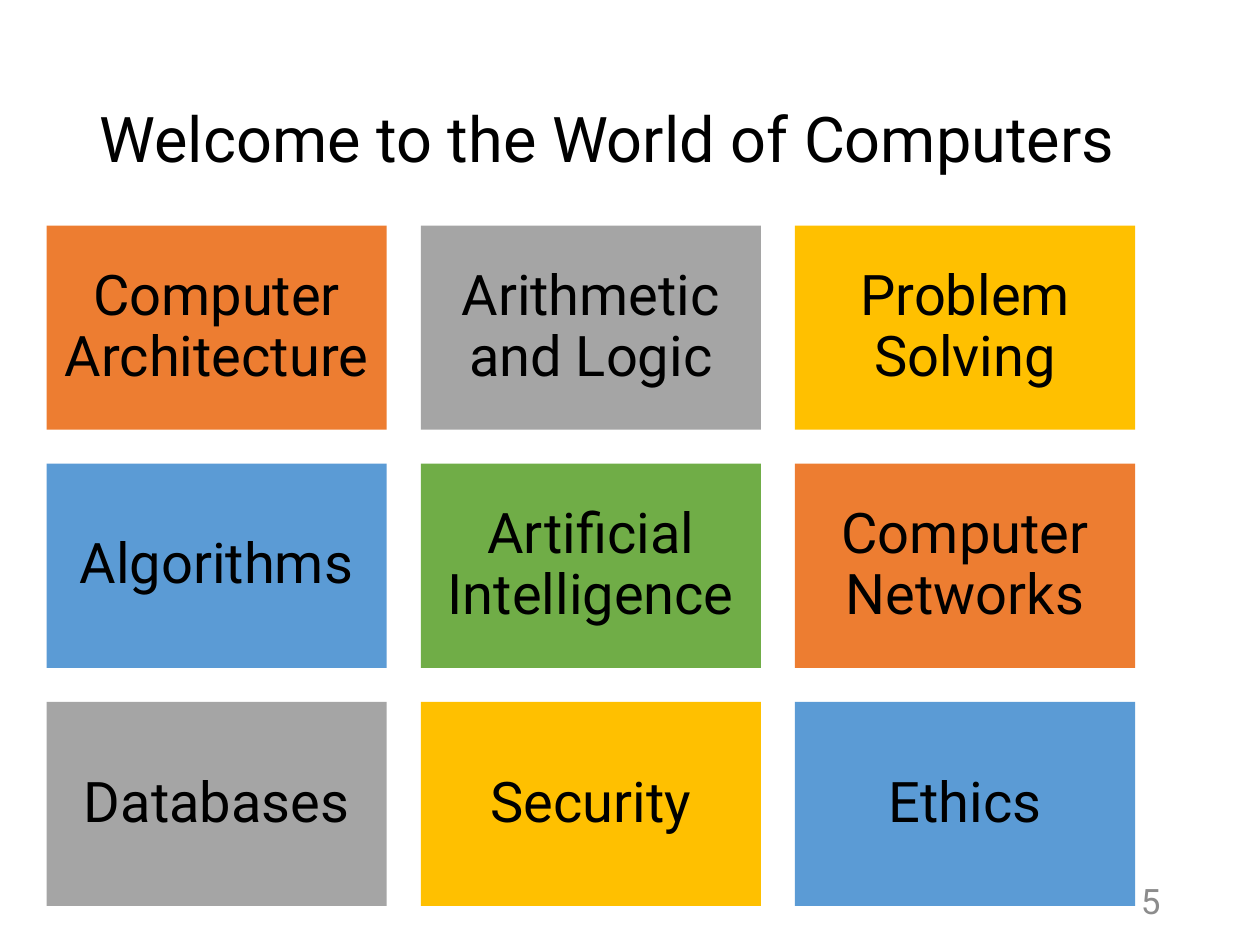
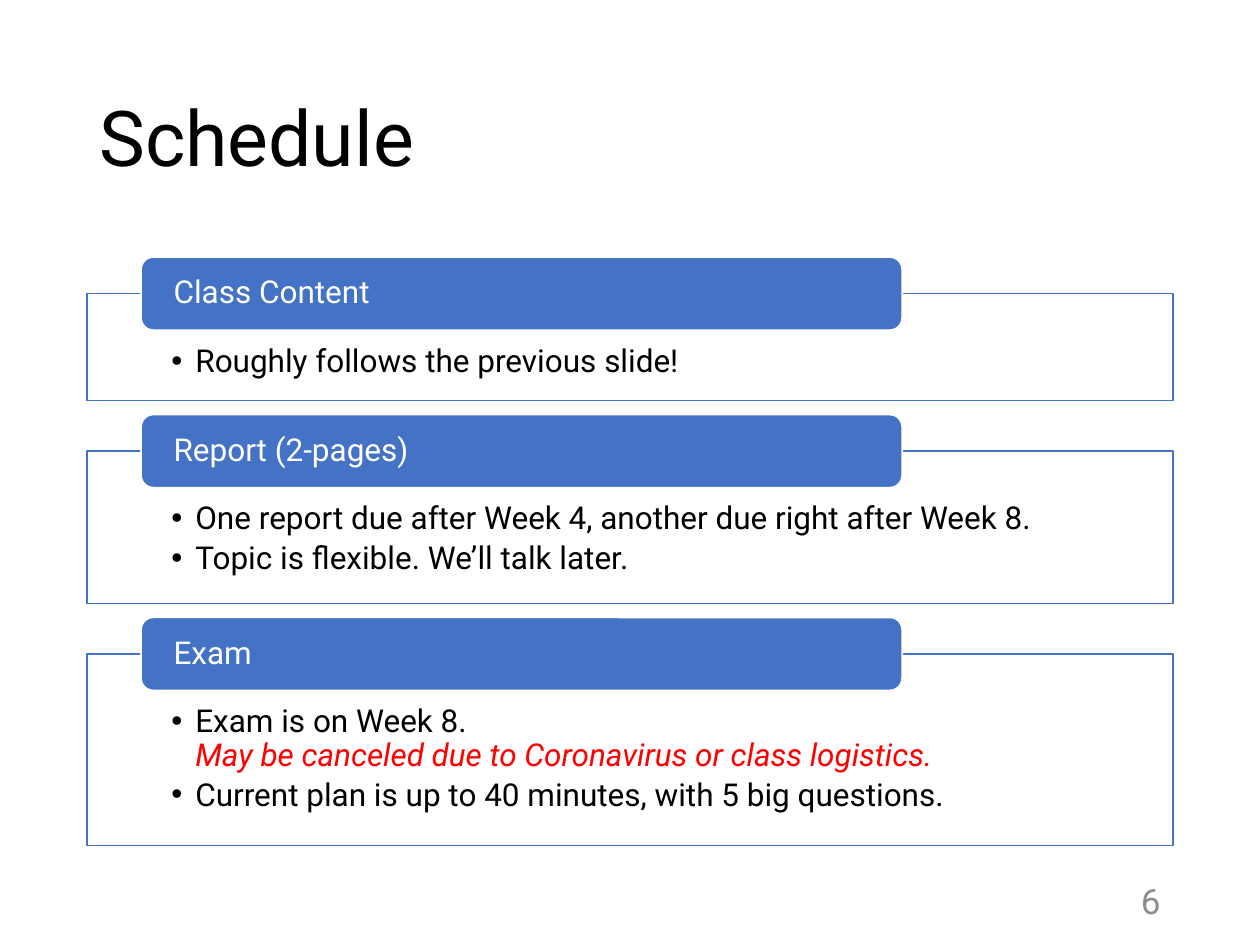
from dataclasses import dataclass

from lxml import etree
from pptx import Presentation
from pptx.dml.color import RGBColor
from pptx.enum.shapes import MSO_SHAPE
from pptx.enum.text import MSO_ANCHOR, MSO_AUTO_SIZE, PP_ALIGN
from pptx.oxml.ns import qn
from pptx.presentation import Presentation as Deck
from pptx.shapes.autoshape import Shape
from pptx.slide import Slide
from pptx.text.text import TextFrame, _Paragraph as Paragraph
from pptx.util import Inches, Pt

RECTANGLE = MSO_SHAPE.RECTANGLE
ROUNDED = MSO_SHAPE.ROUNDED_RECTANGLE
TOP, MIDDLE = MSO_ANCHOR.TOP, MSO_ANCHOR.MIDDLE
LEFT, CENTER, RIGHT = PP_ALIGN.LEFT, PP_ALIGN.CENTER, PP_ALIGN.RIGHT
NO_AUTOFIT = MSO_AUTO_SIZE.NONE
TITLE_ONLY = 5


@dataclass(frozen=True)
class Theme:
    font: str = "Roboto"
    text: str = "000000"
    white: str = "FFFFFF"
    number: str = "8C8C8C"
    alert: str = "FF0000"
    panel: str = "4472C4"
    orange: str = "ED7D31"
    grey: str = "A5A5A5"
    gold: str = "FFC000"
    blue: str = "5B9BD5"
    green: str = "70AD47"
    tile_size: int = 32
    body_size: int = 18
    number_size: int = 20
    line_spacing: float = 0.9


THEME = Theme()


@dataclass(frozen=True)
class Box:
    left: float
    top: float
    width: float
    height: float

    def lengths(self) -> tuple[Inches, ...]:
        return tuple(Inches(v) for v in (self.left, self.top, self.width, self.height))


@dataclass(frozen=True)
class Tile:
    label: str
    color: str


@dataclass(frozen=True)
class Bullet:
    text: str
    warning: str = ""


@dataclass(frozen=True)
class Section:
    heading: str
    height: float
    bullets: tuple[Bullet, ...]


TITLE_BOX = Box(0.69, 0.4, 8.62, 1.45)
NUMBER_BOX = Box(7.06, 6.95, 2.25, 0.4)

# Topic grid
GRID_LEFT, GRID_TOP = 0.37, 1.79
GRID_COLUMNS, GRID_GAP = 3, 0.27
TILE_WIDTH, TILE_HEIGHT = 2.7, 1.62
TOPICS = (
    Tile("Computer Architecture", THEME.orange),
    Tile("Arithmetic and Logic", THEME.grey),
    Tile("Problem Solving", THEME.gold),
    Tile("Algorithms", THEME.blue),
    Tile("Artificial Intelligence", THEME.green),
    Tile("Computer Networks", THEME.orange),
    Tile("Databases", THEME.grey),
    Tile("Security", THEME.gold),
    Tile("Ethics", THEME.blue),
)

# Schedule panels
PANEL_LEFT, PANEL_TOP = 0.69, 2.33
PANEL_WIDTH, PANEL_GAP = 8.62, 0.4
HEADING_LEFT, HEADING_WIDTH, HEADING_HEIGHT = 1.12, 6.04, 0.58
BULLET_INDENT = 0.19
SECTIONS = (
    Section("Class Content", 0.85, (Bullet("Roughly follows the previous slide!"),)),
    Section("Report (2-pages)", 1.21, (
        Bullet("One report due after Week 4, another due right after Week 8."),
        Bullet("Topic is flexible. We’ll talk later."),
    )),
    Section("Exam", 1.52, (
        Bullet("Exam is on Week 8.",
               "May be canceled due to Coronavirus or class logistics."),
        Bullet("Current plan is up to 40 minutes, with 5 big questions."),
    )),
)


# Text and shape helpers
def format_paragraph(paragraph: Paragraph, size: int, color: str,
                     alignment: PP_ALIGN = LEFT,
                     spacing: float = THEME.line_spacing) -> None:
    paragraph.alignment = alignment
    paragraph.line_spacing = spacing
    paragraph.space_before = Pt(0)
    for run in paragraph.runs:
        run.font.name = THEME.font
        run.font.size = Pt(size)
        run.font.color.rgb = RGBColor.from_string(color)


def set_frame(frame: TextFrame, anchor: MSO_ANCHOR,
              insets: tuple[float, float, float, float] = (0.1, 0.05, 0.1, 0.05)) -> None:
    frame.word_wrap = True
    frame.auto_size = NO_AUTOFIT
    frame.vertical_anchor = anchor
    (frame.margin_left, frame.margin_top,
     frame.margin_right, frame.margin_bottom) = (Inches(inset) for inset in insets)


def add_block(slide: Slide, kind: MSO_SHAPE, box: Box, fill: str, line: str = "") -> Shape:
    shape = slide.shapes.add_shape(kind, *box.lengths())
    shape.shadow.inherit = False
    shape.fill.solid()
    shape.fill.fore_color.rgb = RGBColor.from_string(fill)
    if line:
        shape.line.color.rgb = RGBColor.from_string(line)
        shape.line.width = Pt(1)
    else:
        shape.line.fill.background()
    return shape


def set_opacity(shape: Shape, percent: int) -> None:
    color = shape.fill._xPr.find(qn("a:solidFill"))[0]
    etree.SubElement(color, qn("a:alpha"), val=str(percent * 1000))


def add_bullet_mark(paragraph: Paragraph) -> None:
    properties = paragraph._p.get_or_add_pPr()
    indent = Inches(BULLET_INDENT)
    properties.set("marL", str(indent))
    properties.set("indent", str(-indent))
    etree.SubElement(properties, qn("a:buFont"), typeface="Arial")
    etree.SubElement(properties, qn("a:buChar"), char="•")


# Shared slide frame: title and number
def add_titled_slide(presentation: Deck, title: str, title_size: int, number: int) -> Slide:
    slide = presentation.slides.add_slide(presentation.slide_layouts[TITLE_ONLY])
    placeholder = slide.shapes.title
    (placeholder.left, placeholder.top,
     placeholder.width, placeholder.height) = TITLE_BOX.lengths()
    set_frame(placeholder.text_frame, MIDDLE)
    placeholder.text_frame.text = title
    format_paragraph(placeholder.text_frame.paragraphs[0], title_size, THEME.text)

    frame = slide.shapes.add_textbox(*NUMBER_BOX.lengths()).text_frame
    set_frame(frame, MIDDLE)
    frame.text = str(number)
    format_paragraph(frame.paragraphs[0], THEME.number_size, THEME.number, RIGHT, 1.0)
    return slide


# Slide contents
def add_tile(slide: Slide, tile: Tile, index: int) -> None:
    row, column = divmod(index, GRID_COLUMNS)
    box = Box(GRID_LEFT + column * (TILE_WIDTH + GRID_GAP),
              GRID_TOP + row * (TILE_HEIGHT + GRID_GAP), TILE_WIDTH, TILE_HEIGHT)
    frame = add_block(slide, RECTANGLE, box, tile.color).text_frame
    set_frame(frame, MIDDLE, (0.13, 0.13, 0.13, 0.13))
    frame.text = tile.label
    format_paragraph(frame.paragraphs[0], THEME.tile_size, THEME.text, CENTER)


def add_bullets(frame: TextFrame, bullets: tuple[Bullet, ...]) -> None:
    for index, bullet in enumerate(bullets):
        paragraph = frame.add_paragraph() if index else frame.paragraphs[0]
        paragraph.text = f"{bullet.text}\v{bullet.warning}" if bullet.warning else bullet.text
        format_paragraph(paragraph, THEME.body_size, THEME.text)
        paragraph.space_after = Pt(3)
        add_bullet_mark(paragraph)
        if bullet.warning:
            font = paragraph.runs[-1].font
            font.italic = True
            font.color.rgb = RGBColor.from_string(THEME.alert)


def add_section(slide: Slide, section: Section, top: float) -> None:
    panel_box = Box(PANEL_LEFT, top, PANEL_WIDTH, section.height)
    panel = add_block(slide, RECTANGLE, panel_box, THEME.white, THEME.panel)
    set_opacity(panel, 90)
    set_frame(panel.text_frame, TOP, (0.67, 0.41, 0.67, 0.14))
    add_bullets(panel.text_frame, section.bullets)

    # The heading straddles the panel's top edge
    heading_box = Box(HEADING_LEFT, top - HEADING_HEIGHT / 2, HEADING_WIDTH, HEADING_HEIGHT)
    frame = add_block(slide, ROUNDED, heading_box, THEME.panel, THEME.white).text_frame
    set_frame(frame, MIDDLE, (0.23, 0, 0.23, 0))
    frame.text = section.heading
    format_paragraph(frame.paragraphs[0], THEME.body_size, THEME.white)


def build_topics(presentation: Deck) -> None:
    slide = add_titled_slide(presentation, "Welcome to the World of Computers", 36, 5)
    for index, tile in enumerate(TOPICS):
        add_tile(slide, tile, index)


def build_schedule(presentation: Deck) -> None:
    slide = add_titled_slide(presentation, "Schedule", 44, 6)
    top = PANEL_TOP
    for section in SECTIONS:
        add_section(slide, section, top)
        top += section.height + PANEL_GAP


def main() -> None:
    presentation = Presentation()
    presentation.slide_width = Inches(10)
    presentation.slide_height = Inches(7.5)
    build_topics(presentation)
    build_schedule(presentation)
    presentation.save("out.pptx")


if __name__ == "__main__":
    main()
